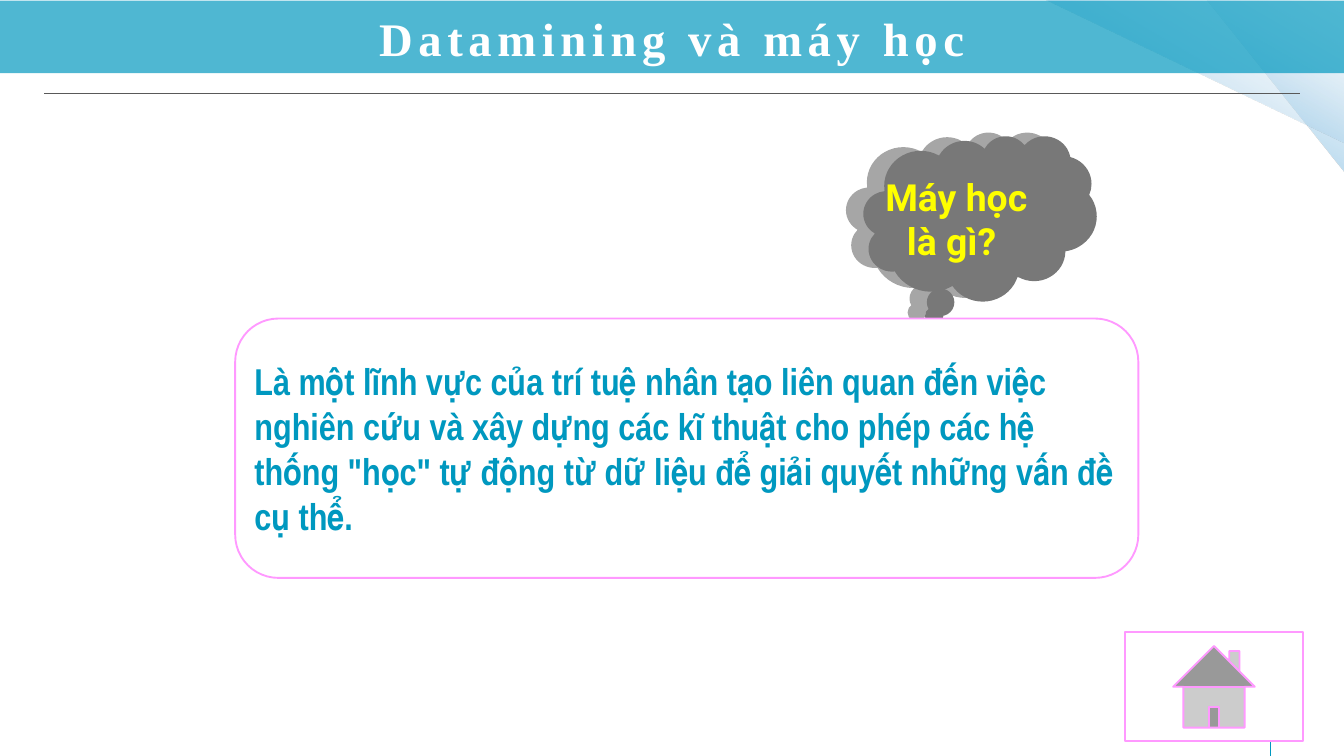
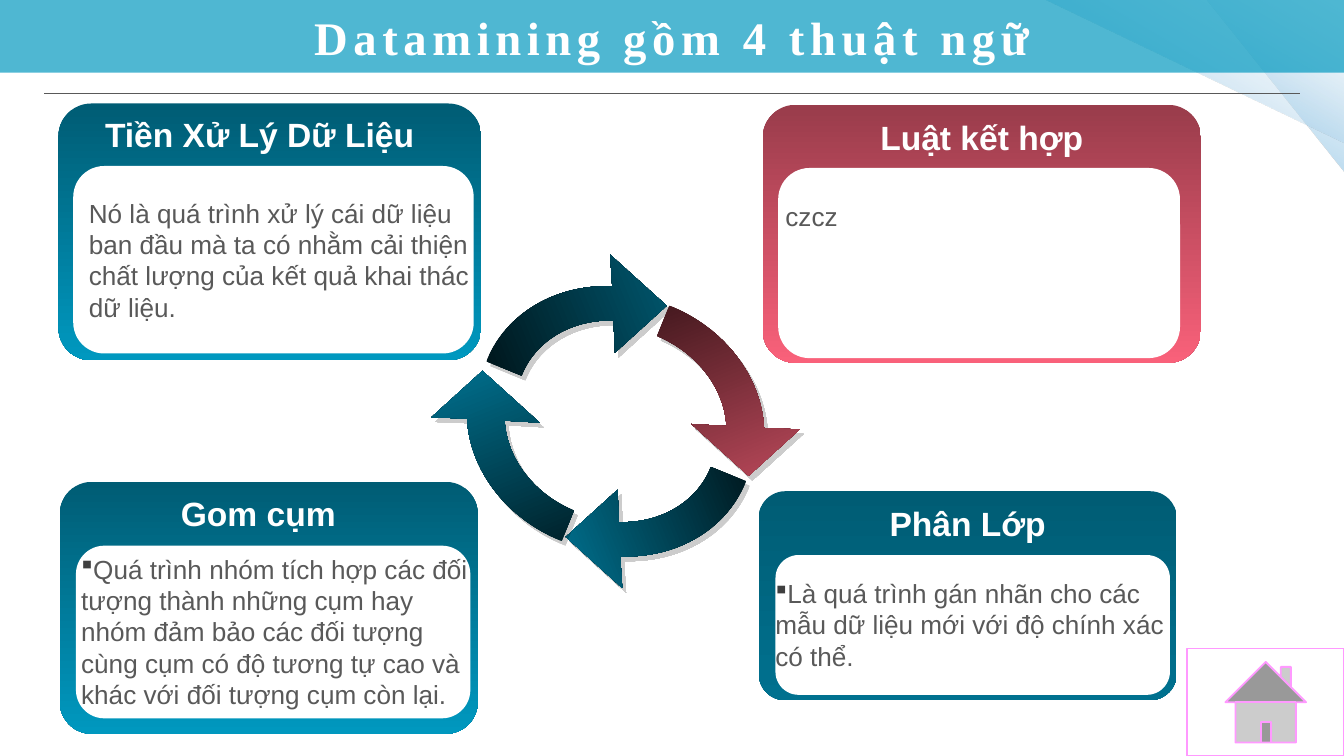
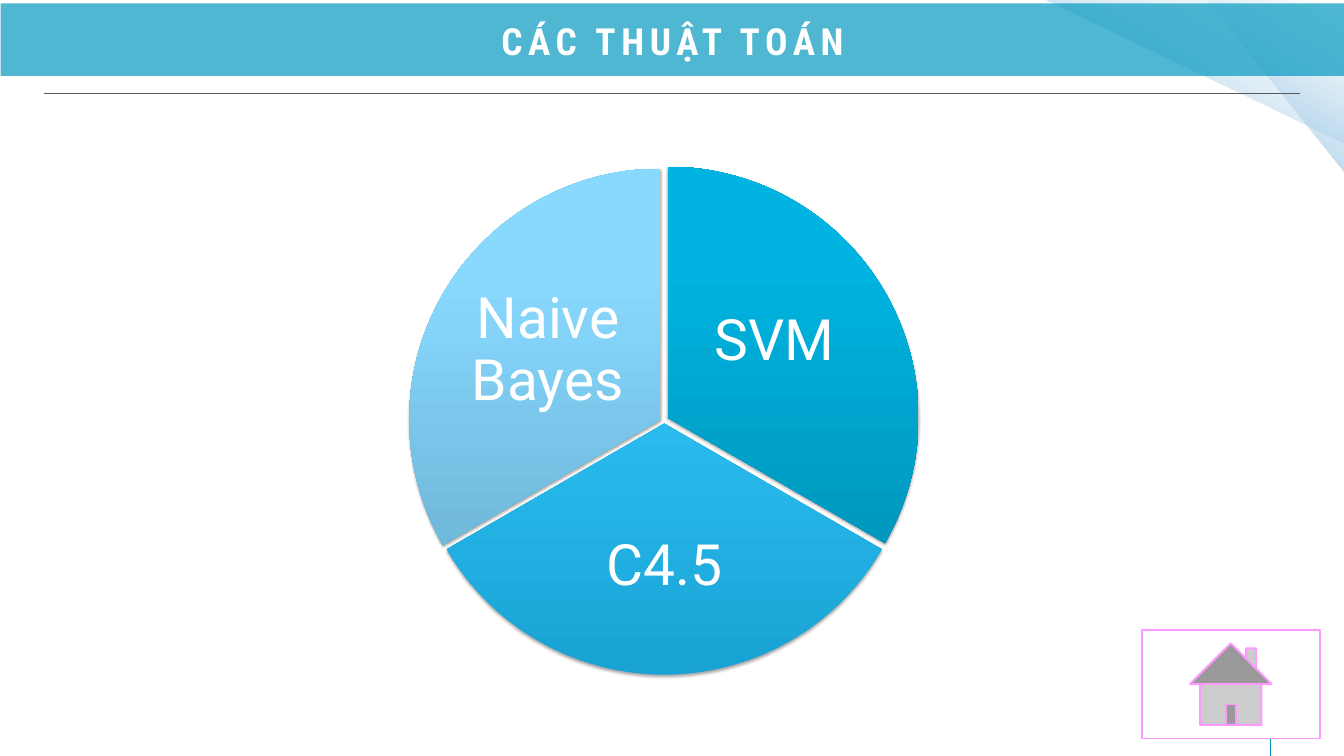
"""Builds three slides on data mining terms and algorithms."""
import pptx
import pptx.util
import pptx.dml.color
import pptx.enum.shapes
import pptx.enum.text
import pptx.oxml
import pptx.oxml.ns
from lxml import etree

KIND = pptx.enum.shapes.MSO_SHAPE
ALIGN = pptx.enum.text.PP_ALIGN
MID = pptx.enum.text.MSO_ANCHOR.MIDDLE
TOP = pptx.enum.text.MSO_ANCHOR.TOP
INCH = pptx.util.Inches
PT = pptx.util.Pt
QN = pptx.oxml.ns.qn
WIDE, HIGH = 20, 11.25

TEAL, PINK, WHITE, GREY = "0098BF", "FF99FF", "FFFFFF", "595959"
GLASS = [(0, "8FC8E8", 100), (50, "A4CEE9", 44), (100, "DEEDF6", 0)]
RAYS = [(17.96, 0, 2.04, 2.57), (15.54, 0, 4.48, 2.13)]
RULES = [((0.66, 1.39), (19.34, 1.39), GREY), ((18.91, 11.25), (18.91, 10.4), TEAL)]

TITLES = [
    ("Datamining và máy học", (0, 0.01), "Times New Roman", 50),
    ("Datamining gồm 4 thuật ngữ", (0, 0), "Times New Roman", 50),
    ("CÁC THUẬT TOÁN", (0.01, 0.05), "Roboto Condensed", 40),
]
HOMES = [(16.74, 9.41, 2.65, 1.62), (17.67, 9.65, 2.33, 1.6), (16.99, 9.37, 2.65, 1.62)]

ASK = " Máy học là gì?"
ANSWER = ("Là một lĩnh vực của trí tuệ nhân tạo liên quan đến việc nghiên cứu và xây "
          "dựng các kĩ thuật cho phép các hệ thống \"học\" tự động từ dữ liệu để giải "
          "quyết những vấn đề cụ thể.")

PANELS = [
    dict(head="Tiền Xử Lý Dữ Liệu", hat=(0.83, 1.64, 6.07, 0.71),
         card=(0.87, 1.54, 6.29, 3.82), hues=("005C74", TEAL),
         well=(1.09, 2.47, 5.96, 2.79), note=None,
         style=dict(mid=True, wrap=False),
         text=["Nó là quá trình xử lý cái dữ liệu", "ban đầu mà ta có nhằm cải thiện",
               "chất lượng của kết quả khai thác", "dữ liệu."]),
    dict(head="Phân Lớp", hat=(11.64, 7.44, 5.52, 0.71),
         card=(11.29, 7.31, 6.22, 3.11), hues=("005C74", "00718F"),
         well=(11.54, 8.26, 5.87, 2.08), note=(11.44, 8.54, 6.07, 1.51),
         style=dict(mark="§"),
         text=["Là quá trình gán nhãn cho các mẫu dữ liệu mới với độ chính xác có thể."]),
    dict(head="Gom cụm", hat=(1.83, 7.29, 4.03, 0.71),
         card=(0.89, 7.17, 6.22, 3.75), hues=("005C74", TEAL),
         well=(1.13, 8.12, 5.87, 2.57), note=(1.11, 8.18, 6.08, 2.46),
         style=dict(mark="§"),
         text=["Quá trình nhóm tích hợp các đối tượng thành những cụm hay nhóm đảm bảo "
               "các đối tượng cùng cụm có độ tương tự cao và khác với đối tượng cụm còn lại."]),
    dict(head="Luật kết hợp", hat=(11.85, 1.69, 5.52, 0.71),
         card=(11.35, 1.56, 6.52, 3.84), hues=("993C4B", "F9617A"),
         well=(11.58, 2.5, 5.98, 2.83), note=(11.59, 2.94, 6.2, 0.57),
         style={}, text=["czcz"]),
]

LOW = [(9.21, 7.77), [(9.82, 7.79), (10.36, 7.48), (10.57, 6.97)], (10.58, 6.95),
       (11.1, 7.16), (11.09, 7.19), [(10.8, 7.88), (10.07, 8.31), (9.23, 8.28)],
       (9.26, 8.75), (8.42, 7.99), (9.19, 7.29)]
LEFT = [(7.51, 6.26), [(7.54, 6.82), (7.94, 7.34), (8.52, 7.59)], (8.54, 7.6),
        (8.36, 8.05), (8.33, 8.04), [(7.54, 7.71), (6.99, 7), (6.95, 6.23)],
        (6.42, 6.21), (7.18, 5.52), (8.03, 6.29)]
LOOPS = [
    (LOW, None, 157.9, ("001A21", "00718F")),
    (LEFT, None, 247.9, ("00222B", "00718F")),
    (LOW, (9.17, 6.27), 337.9, ("00161C", "00586F")),
    (LEFT, (9.16, 6.3), 67.9, ("45191F", "B84859")),
]

SLICES = [
    ("SVM", (6.2, 2.48), (10.26, 3.85, 2.53, 2.49), ("008AAD", "00B3E0", "00B4E1")),
    ("C4.5", (6.15, 2.57), (8.2, 7.28, 3.38, 2.31), ("19A3D4", "35CAFF", "36CBFF")),
    ("Naive Bayes", (6.09, 2.51), (6.89, 3.98, 2.53, 2.49), ("63A9CA", "89D9FF", "8ADAFF")),
]
DISC = 7.47


def color(code):
    return pptx.dml.color.RGBColor.from_string(code)


def node(up, tag, **keys):
    return etree.SubElement(up, QN("a:" + tag), {k: str(v) for k, v in keys.items()})


def tint(up, code, alpha):
    hue = node(up, "srgbClr", val=code)
    if alpha < 100:
        node(hue, "alpha", val=int(alpha * 1000))


def paint(shape, code, alpha=100):
    shape.fill.solid()
    shape.fill.fore_color.rgb = color(code)
    if alpha < 100:
        hue = shape._element.spPr.find(QN("a:solidFill"))[0]
        node(hue, "alpha", val=alpha * 1000)


def blend(shape, stops, angle):
    shape.fill.gradient()
    grad = shape._element.spPr.find(QN("a:gradFill"))
    for child in list(grad):
        grad.remove(child)
    row = node(grad, "gsLst")
    for place, code, alpha in stops:
        tint(node(row, "gs", pos=place * 1000), code, alpha)
    node(grad, "lin", ang=int(angle * 60000), scaled=0)


def fade(shape, hues, angle):
    blend(shape, [(0, hues[0], 100), (100, hues[1], 100)], angle)


def shade(shape, alpha, blur, dist, angle):
    glow = shape._element.spPr.find(QN("a:effectLst"))
    drop = node(glow, "outerShdw", blurRad=PT(blur), dist=PT(dist),
                dir=angle * 60000, algn="ctr", rotWithShape=0)
    tint(drop, "000000", alpha)


def plain(shape, edge=None):
    shape.shadow.inherit = False
    if edge:
        shape.line.color.rgb = color(edge)
        shape.line.width = PT(2)
    else:
        shape.line.fill.background()
    return shape


def form(slide, kind, box, edge=None, *bends):
    shape = slide.shapes.add_shape(kind, *map(INCH, box))
    for i, bend in enumerate(bends):
        shape.adjustments[i] = bend
    return plain(shape, edge)


def write(shape, lines, size, face, hue, bold=False, align=ALIGN.LEFT, mid=False,
          wrap=True, mark=None, pad=(0.1, 0.05, 0.1, 0.05), lead=None, gap=None):
    frame = shape.text_frame
    frame.word_wrap = wrap
    frame.vertical_anchor = MID if mid else TOP
    (frame.margin_left, frame.margin_top,
     frame.margin_right, frame.margin_bottom) = map(INCH, pad)
    for i, line in enumerate(lines):
        para = frame.add_paragraph() if i else frame.paragraphs[0]
        run = para.add_run()
        run.text = line
        para.alignment = align
        para.line_spacing = lead
        font = para.font
        font.size, font.name, font.bold = PT(size), face, bold
        font.color.rgb = color(hue)
        if gap:
            run.font._element.set("spc", str(gap * 100))
        if mark:
            dot(para._p.get_or_add_pPr(), mark)


def dot(props, mark):
    props.set("marL", "0")
    props.set("indent", "0")
    dye = etree.Element(QN("a:buClr"))
    node(dye, "srgbClr", val="3F3F3F")
    face = etree.Element(QN("a:buFont"), typeface="Wingdings", charset="2")
    for i, part in enumerate((dye, face, etree.Element(QN("a:buChar"), char=mark))):
        props.insert(i, part)


def label(slide, box, lines, *args, **style):
    write(slide.shapes.add_textbox(*map(INCH, box)), lines, *args, **style)


def rule(slide, start, end, hue):
    line = slide.shapes.add_connector(
        pptx.enum.shapes.MSO_CONNECTOR.STRAIGHT, *map(INCH, start + end))
    line.line.color.rgb = color(hue)
    line.line.width = PT(1)
    node(line._element.spPr, "effectLst")


def frame(deck, title, spot, face, size):
    slide = deck.slides.add_slide(deck.slide_layouts[6])
    for box in RAYS:
        ray = form(slide, KIND.RIGHT_TRIANGLE, box)
        ray.rotation = 180
        blend(ray, GLASS, 120)
    for args in RULES:
        rule(slide, *args)
    band = form(slide, KIND.RECTANGLE, spot + (WIDE, 1.08))
    paint(band, TEAL, 69)
    write(band, [title], size, face, WHITE, True, ALIGN.CENTER, True,
          pad=(0.18, 0.1, 0.18, 0.08), gap=6)
    return slide


def trace(slide, steps, hub):
    """Draws corners and curves as one outline, half turned about a hub if given."""
    dots = []
    for step in steps:
        dots += step if isinstance(step, list) else [step]
    if hub:
        dots = [(2 * hub[0] - x, 2 * hub[1] - y) for x, y in dots]
    dots = [(INCH(x), INCH(y)) for x, y in dots]
    pen = slide.shapes.build_freeform(*dots[0])
    pen.add_line_segments(dots[1:], close=True)
    shape = pen.convert_to_shape()
    legs = list(shape._element.spPr.iter(QN("a:lnTo")))
    at = 0
    for step in steps[1:]:
        if isinstance(step, list):
            curve = etree.Element(QN("a:cubicBezTo"))
            legs[at].addprevious(curve)
            for leg in legs[at:at + 3]:
                curve.append(leg[0])
                leg.getparent().remove(leg)
            at += 3
        else:
            at += 1
    return plain(shape)


def define(slide):
    cloud = form(slide, KIND.CLOUD_CALLOUT, (12.85, 2.02, 3.47, 2.46))
    paint(cloud, "787878")
    shade(cloud, 34, 0, 19, 192)
    write(cloud, [ASK], 40, "Roboto", "FFFF00", True, ALIGN.CENTER, True,
          pad=(-0.35, 0.17, 0.25, 0.05))
    card = form(slide, KIND.ROUNDED_RECTANGLE, (3.5, 4.74, 13.44, 3.86), PINK)
    paint(card, WHITE)
    write(card, [ANSWER], 40, "Arial Narrow", TEAL, True, mid=True)


def terms(slide):
    for panel in PANELS:
        card = form(slide, KIND.ROUNDED_RECTANGLE, panel["card"], None, 0.127)
        fade(card, panel["hues"], 90)
        well = form(slide, KIND.ROUNDED_RECTANGLE, panel["well"], None, 0.165)
        paint(well, WHITE)
        label(slide, panel["hat"], [panel["head"]], 36, "Arial", WHITE, True, ALIGN.CENTER)
        note = panel["note"]
        holder = slide.shapes.add_textbox(*map(INCH, note)) if note else well
        write(holder, panel["text"], 28, "Arial", GREY, **panel["style"])
    for steps, hub, angle, hues in LOOPS:
        arrow = trace(slide, steps, hub)
        fade(arrow, hues, angle)
        shade(arrow, 20, 0, 6.4, 51)


def wheel(slide):
    for i, (name, spot, box, hues) in enumerate(SLICES):
        start, end = (270 + 120 * i) % 360, (30 + 120 * i) % 360
        part = form(slide, KIND.PIE, spot + (DISC, DISC), None, start * 0.6, end * 0.6)
        blend(part, [(p, h, 100) for p, h in zip((0, 80, 100), hues)], 270)
        shade(part, 35, 3.1, 1.8, 90)
        label(slide, box, [name], 61, "Roboto", WHITE, align=ALIGN.CENTER, mid=True,
              pad=(0.08,) * 4, lead=0.9)


def main():
    deck = pptx.Presentation()
    deck.slide_width, deck.slide_height = INCH(WIDE), INCH(HIGH)
    for title, home, fill in zip(TITLES, HOMES, (define, terms, wheel)):
        slide = frame(deck, *title)
        fill(slide)
        paint(form(slide, KIND.ACTION_BUTTON_HOME, home, PINK), WHITE)
    deck.save("out.pptx")


if __name__ == "__main__":
    main()
